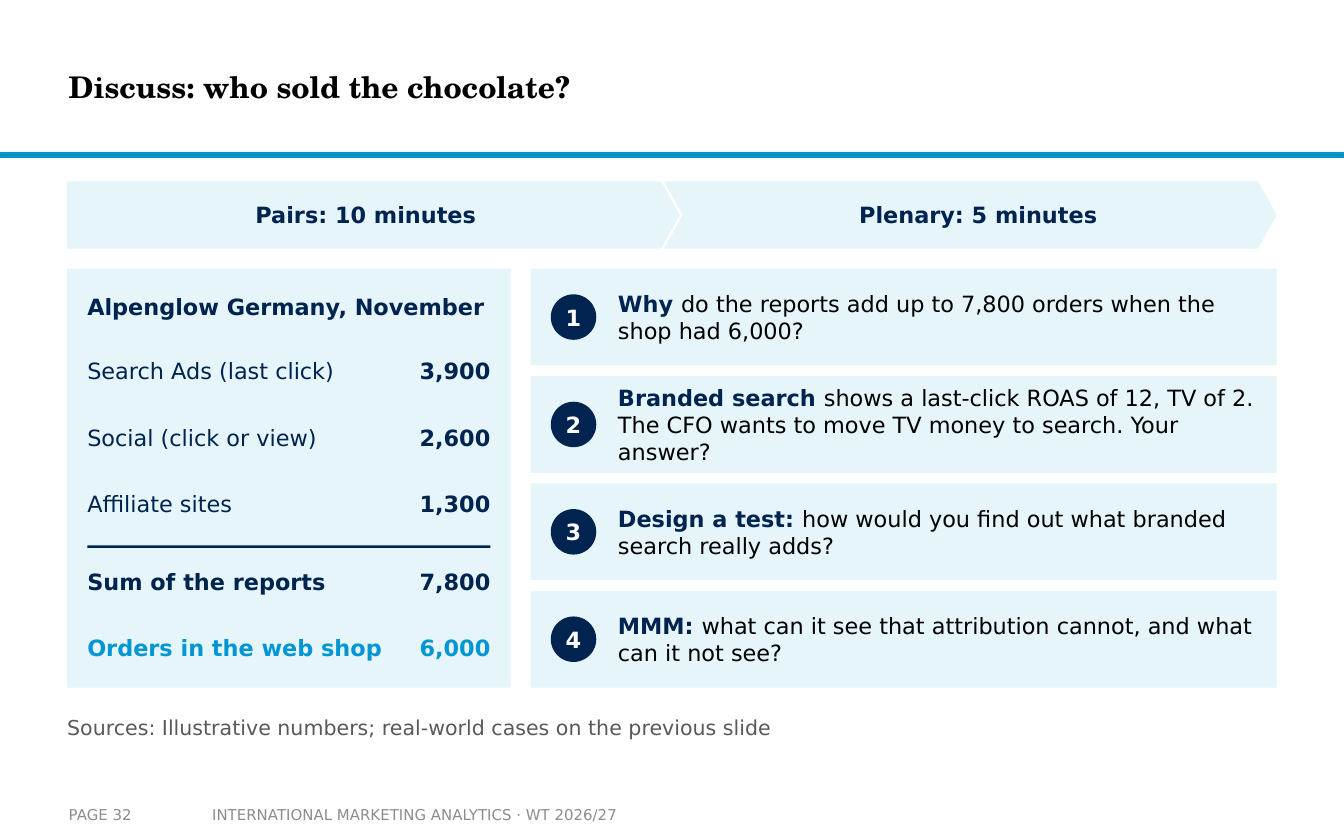
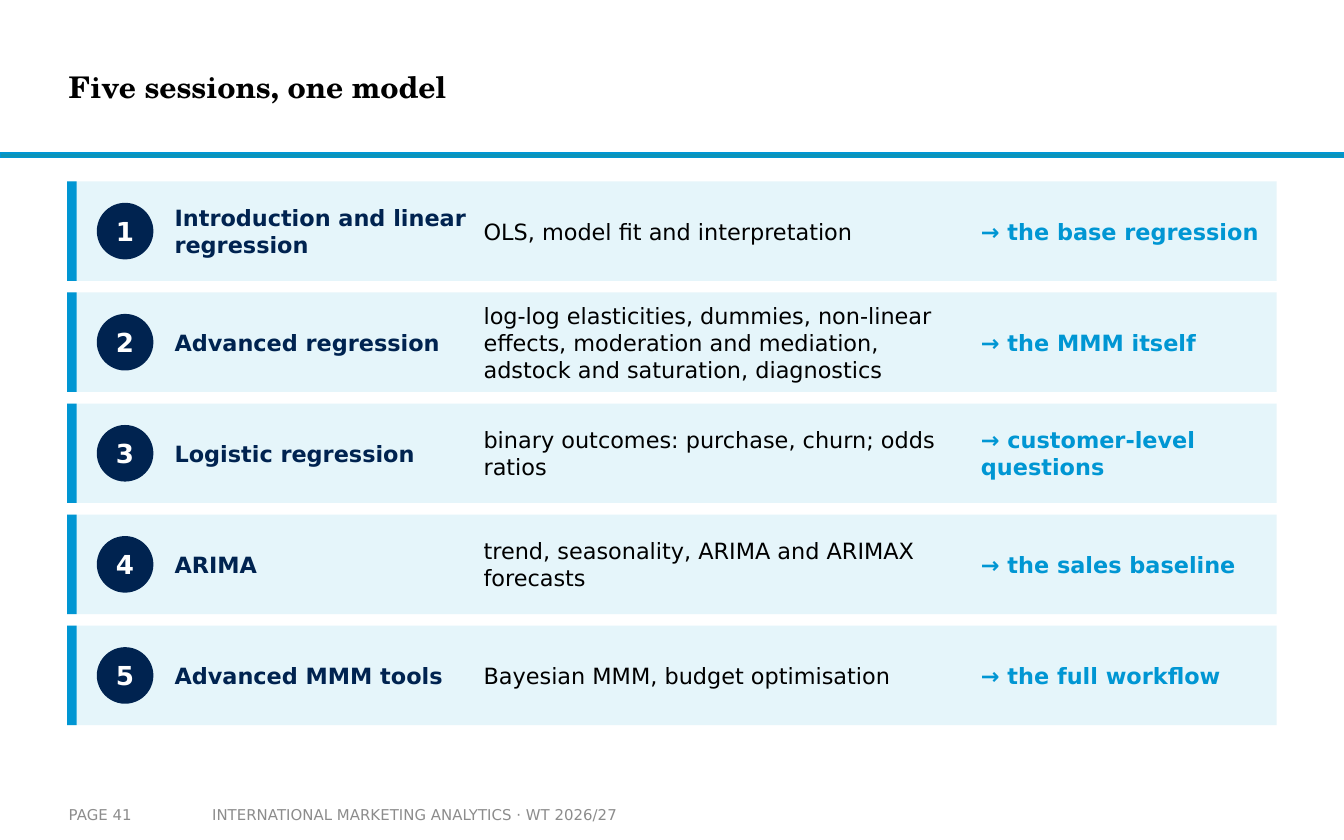
"""Build two marketing analytics slides: a discussion task and a course recap."""
from dataclasses import dataclass
from typing import NamedTuple

from pptx import Presentation
from pptx.dml.color import RGBColor
from pptx.enum.shapes import MSO_SHAPE
from pptx.enum.text import MSO_ANCHOR, PP_ALIGN
from pptx.shapes.autoshape import Shape
from pptx.slide import Slide
from pptx.util import Cm, Pt

RECT, OVAL = MSO_SHAPE.RECTANGLE, MSO_SHAPE.OVAL
PLATE, CHEVRON = MSO_SHAPE.PENTAGON, MSO_SHAPE.CHEVRON
LEFT, CENTER, RIGHT = PP_ALIGN.LEFT, PP_ALIGN.CENTER, PP_ALIGN.RIGHT
MIDDLE = MSO_ANCHOR.MIDDLE

NAVY = RGBColor(0x00, 0x23, 0x50)
BLUE = RGBColor(0x00, 0x96, 0xD3)
TEAL = RGBColor(0x0C, 0x94, 0xB7)
PALE = RGBColor(0xE5, 0xF5, 0xFA)
WHITE = RGBColor(0xFF, 0xFF, 0xFF)
BLACK = RGBColor(0x00, 0x00, 0x00)
GREY = RGBColor(0x8C, 0x8C, 0x8C)
DARK_GREY = RGBColor(0x59, 0x59, 0x59)

BODY_FONT = "DejaVu Sans"
TITLE_FONT = "TeX Gyre Schola"
COURSE = "INTERNATIONAL MARKETING ANALYTICS · WT 2026/27"

MARGIN = 1.27
CONTENT_WIDTH = 22.86
CONTENT_TOP = 3.43
NO_INSETS = (0, 0, 0, 0)


class Box(NamedTuple):
    """Left, top, width and height in centimetres."""

    x: float
    y: float
    w: float
    h: float


@dataclass(frozen=True)
class Run:
    """A stretch of text in one style."""

    text: str
    color: RGBColor = BLACK
    bold: bool = False
    size: float = 12
    font: str = BODY_FONT


@dataclass(frozen=True)
class Phase:
    """One arrow of the time plan."""

    text: str
    kind: MSO_SHAPE
    x: float
    left_inset: float


@dataclass(frozen=True)
class ReportRow:
    """A label and its number of orders."""

    label: str
    orders: str
    y: float
    color: RGBColor = NAVY
    bold: bool = True


@dataclass(frozen=True)
class Question:
    """A discussion question with its bold opening."""

    lead: str
    rest: str


@dataclass(frozen=True)
class Session:
    """A course session, its topics and its result."""

    name: str
    topics: str
    result: str


PHASES = [
    Phase("Pairs: 10 minutes", PLATE, MARGIN, 0.25),
    Phase("Plenary: 5 minutes", CHEVRON, 12.55, 0.66),
]
REPORT_PITCH = 1.25
REPORTS_TOP = 6.48
TOTALS_TOP = 10.46
REPORT_ROWS = [
    ReportRow("Search Ads (last click)", "3,900", REPORTS_TOP, bold=False),
    ReportRow("Social (click or view)", "2,600", REPORTS_TOP + REPORT_PITCH, bold=False),
    ReportRow("Affiliate sites", "1,300", REPORTS_TOP + 2 * REPORT_PITCH, bold=False),
    ReportRow("Sum of the reports", "7,800", TOTALS_TOP),
    ReportRow("Orders in the web shop", "6,000", TOTALS_TOP + REPORT_PITCH, BLUE),
]
QUESTIONS = [
    Question("Why ", "do the reports add up to 7,800 orders when the shop had 6,000?"),
    Question(
        "Branded search ",
        "shows a last-click ROAS of 12, TV of 2. "
        "The CFO wants to move TV money to search. Your answer?",
    ),
    Question("Design a test: ", "how would you find out what branded search really adds?"),
    Question("MMM: ", "what can it see that attribution cannot, and what can it not see?"),
]
SESSIONS = [
    Session(
        "Introduction and linear regression",
        "OLS, model fit and interpretation",
        "→ the base regression",
    ),
    Session(
        "Advanced regression",
        "log-log elasticities, dummies, non-linear effects, moderation and mediation, "
        "adstock and saturation, diagnostics",
        "→ the MMM itself",
    ),
    Session(
        "Logistic regression",
        "binary outcomes: purchase, churn; odds ratios",
        "→ customer-level questions",
    ),
    Session(
        "ARIMA",
        "trend, seasonality, ARIMA and ARIMAX forecasts",
        "→ the sales baseline",
    ),
    Session(
        "Advanced MMM tools",
        "Bayesian MMM, budget optimisation",
        "→ the full workflow",
    ),
]


def write(
    sp: Shape,
    runs: list[Run],
    align: PP_ALIGN = LEFT,
    insets: tuple[float, float, float, float] = NO_INSETS,
    space_after: float = 0,
) -> None:
    """Fill a shape with one vertically centred paragraph."""
    tf = sp.text_frame
    tf.word_wrap = True
    tf.vertical_anchor = MIDDLE
    tf.margin_left, tf.margin_top, tf.margin_right, tf.margin_bottom = map(Cm, insets)
    p = tf.paragraphs[0]
    p.alignment = align
    p.space_after = Pt(space_after)
    for run in runs:
        r = p.add_run()
        r.text = run.text
        r.font.name = run.font
        r.font.size = Pt(run.size)
        r.font.bold = run.bold
        r.font.color.rgb = run.color


def add_shape(s: Slide, kind: MSO_SHAPE, box: Box, fill: RGBColor) -> Shape:
    """Add a flat shape without outline."""
    sp = s.shapes.add_shape(kind, *map(Cm, box))
    sp.shadow.inherit = False
    sp.fill.solid()
    sp.fill.fore_color.rgb = fill
    sp.line.fill.background()
    return sp


def add_text(
    s: Slide,
    box: Box,
    *runs: Run,
    align: PP_ALIGN = LEFT,
    insets: tuple[float, float, float, float] = NO_INSETS,
    space_after: float = 4,
) -> None:
    """Add a wrapping text box."""
    sp = s.shapes.add_textbox(*map(Cm, box))
    write(sp, list(runs), align, insets, space_after)


def add_badge(s: Slide, number: int, x: float, row: Box, diameter: float, size: float) -> None:
    """Add a numbered circle centred on the height of a row."""
    box = Box(x, row.y + (row.h - diameter) / 2, diameter, diameter)
    sp = add_shape(s, OVAL, box, NAVY)
    write(sp, [Run(str(number), WHITE, True, size)], CENTER)


def add_slide(prs: Presentation, title: str, page: int) -> Slide:
    """Add a slide with the shared title, band and footer."""
    s = prs.slides.add_slide(prs.slide_layouts[6])
    band = add_shape(s, RECT, Box(0, 2.9, 25.4, 0.08), TEAL)
    band.line.color.rgb = BLUE
    band.line.width = Pt(1)
    add_text(s, Box(1.3, 0.38, 19, 2.51), Run(title, BLACK, True, 16, TITLE_FONT), space_after=0)
    footer = [(3.76, 8.94, 0.25, COURSE), (1.3, 2.49, 0, f"PAGE {page}")]
    for x, w, side, text in footer:
        add_text(
            s,
            Box(x, 15.04, w, 0.71),
            Run(text, GREY, size=8),
            insets=(side, 0.13, side, 0.13),
            space_after=0,
        )
    return s


def build_discussion(prs: Presentation) -> None:
    """Build the discussion slide."""
    s = add_slide(prs, "Discuss: who sold the chocolate?", 32)
    for phase in PHASES:
        sp = add_shape(s, phase.kind, Box(phase.x, CONTENT_TOP, 11.58, 1.27), PALE)
        sp.adjustments[0] = 0.28
        write(sp, [Run(phase.text, NAVY, True)], CENTER, (phase.left_inset, 0.05, 0.36, 0.05))

    add_shape(s, RECT, Box(MARGIN, 5.08, 8.38, 7.92), PALE)
    add_text(s, Box(1.65, 5.26, 7.62, 1.07), Run("Alpenglow Germany, November", NAVY, True))
    for row in REPORT_ROWS:
        add_text(s, Box(1.65, row.y, 5.59, 1.07), Run(row.label, row.color, row.bold))
        add_text(s, Box(7.11, row.y, 2.16, 1.07), Run(row.orders, row.color, True), align=RIGHT)
    add_shape(s, RECT, Box(1.65, 10.31, 7.62, 0.05), NAVY)

    for i, question in enumerate(QUESTIONS):
        card = Box(10.03, 5.08 + i * 2.03, 14.1, 1.83)
        add_shape(s, RECT, card, PALE)
        add_badge(s, i + 1, 10.41, card, 0.86, 12)
        text_box = card._replace(x=11.68, w=12.07)
        add_text(s, text_box, Run(question.lead, NAVY, True), Run(question.rest))

    source = "Sources: Illustrative numbers; real-world cases on the previous slide"
    add_text(s, Box(MARGIN, 13.39, CONTENT_WIDTH, 0.71), Run(source, DARK_GREY, size=11))


def build_sessions(prs: Presentation) -> None:
    """Build the course recap slide."""
    s = add_slide(prs, "Five sessions, one model", 41)
    for i, session in enumerate(SESSIONS):
        row = Box(MARGIN, CONTENT_TOP + i * 2.1, CONTENT_WIDTH, 1.88)
        add_shape(s, RECT, row, PALE)
        add_shape(s, RECT, row._replace(w=0.18), BLUE)
        add_badge(s, i + 1, 1.83, row, 1.07, 14)
        add_text(s, row._replace(x=3.3, w=5.72), Run(session.name, NAVY, True))
        add_text(s, row._replace(x=9.14, w=9.14), Run(session.topics))
        add_text(s, row._replace(x=18.54, w=5.33), Run(session.result, BLUE, True))


def main() -> None:
    """Build and save the presentation."""
    prs = Presentation()
    prs.slide_width, prs.slide_height = Cm(25.4), Cm(15.88)
    build_discussion(prs)
    build_sessions(prs)
    prs.save("out.pptx")


if __name__ == "__main__":
    main()
